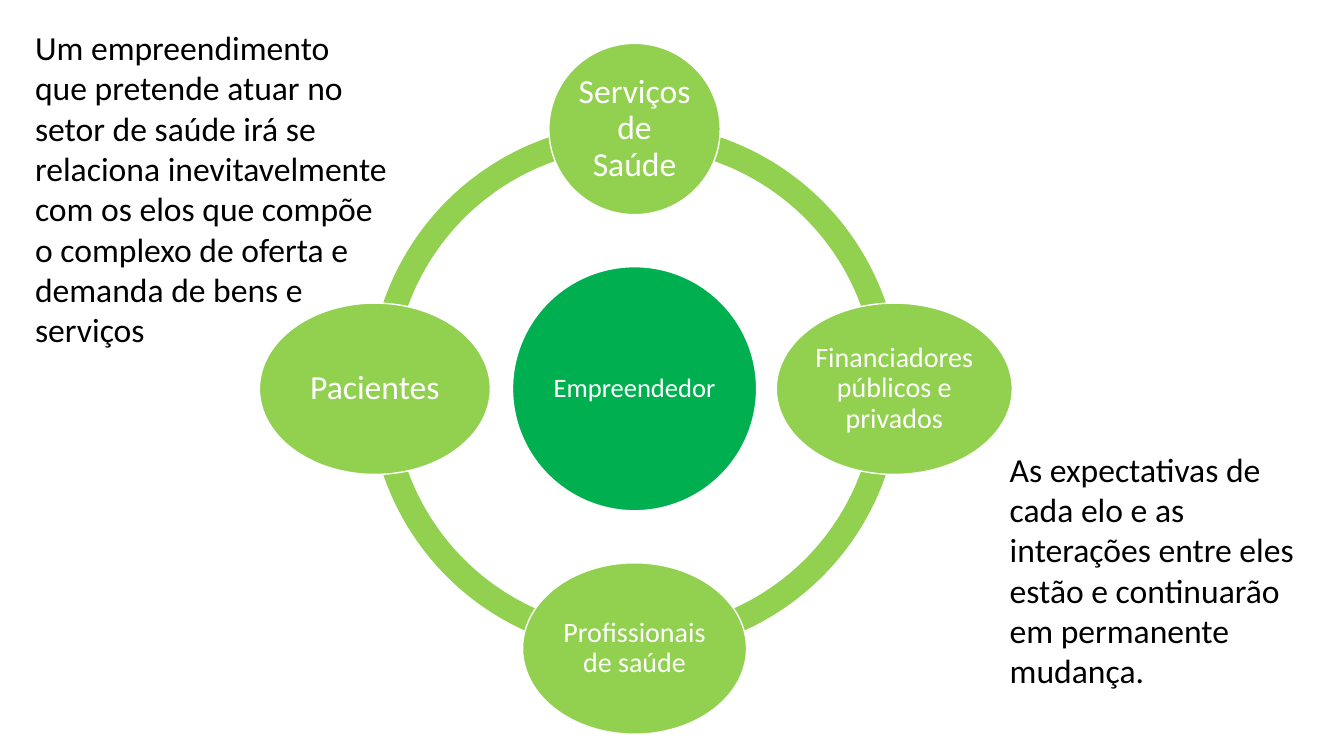
from math import cos, radians, sin

from pptx import Presentation
from pptx.dml.color import RGBColor
from pptx.enum.shapes import MSO_SHAPE
from pptx.enum.text import MSO_ANCHOR, PP_ALIGN
from pptx.util import Pt

COLORS = {"ring": "92D050", "center": "00B050", "light": "FFFFFF", "text": "000000"}
FONT = "Calibri"
NODE_HEIGHT = 122.4
QUARTER_TURN = 54
NODES = [
    ("Serviços de Saúde", 122.4, 24, -90),
    ("Financiadores públicos e privados", 168.6, 20, 0),
    ("Profissionais de saúde", 160, 20, 90),
    ("Pacientes", 165, 24, 180),
]
NOTES = [
    ("As expectativas de cada elo e as interações entre eles estão e "
     "continuarão em permanente mudança.", (714.2, 316.8, 224, 181.4)),
    ("Um empreendimento que pretende atuar no setor de saúde irá se relaciona "
     "inevitavelmente com os elos que compõe o complexo de oferta e demanda "
     "de bens e serviços", (18, 15.8, 266.4, 239.8)),
]


def color(name):
    return RGBColor.from_string(COLORS[name])


def add_text(para, text, size, color_name):
    span = para.add_run()
    span.text = text
    span.font.name = FONT
    span.font.size = Pt(size)
    span.font.color.rgb = color(color_name)


def add_filled_shape(page, kind, box, fill_name):
    shape = page.shapes.add_shape(kind, *map(Pt, box))
    shape.shadow.inherit = False
    shape.fill.solid()
    shape.fill.fore_color.rgb = color(fill_name)
    shape.line.fill.background()
    return shape


def add_circle(page, center_x, center_y, width, height, text, size, fill_name):
    box = (center_x - width / 2, center_y - height / 2, width, height)
    circle = add_filled_shape(page, MSO_SHAPE.OVAL, box, fill_name)
    circle.line.color.rgb = color("light")
    circle.line.width = Pt(1)
    frame = circle.text_frame
    frame.word_wrap = True
    frame.vertical_anchor = MSO_ANCHOR.MIDDLE
    frame.margin_left = frame.margin_right = Pt(2)
    frame.margin_top = frame.margin_bottom = Pt(2)
    para = frame.paragraphs[0]
    para.alignment = PP_ALIGN.CENTER
    para.line_spacing = 0.9
    add_text(para, text, size, "light")


def add_cycle(page, box):
    left, top, width, height = box
    center_x, center_y = left + width / 2, top + height / 2
    orbit = width * 0.489
    for quarter in (2, 1, 0, 3):
        arc = add_filled_shape(page, MSO_SHAPE.BLOCK_ARC, box, "ring")
        arc.adjustments[0] = quarter * QUARTER_TURN
        arc.adjustments[1] = (quarter + 1) % 4 * QUARTER_TURN
        arc.adjustments[2] = 0.046
    add_circle(page, center_x, center_y, 174.4, 174.4, "Empreendedor", 19, "center")
    for text, node_width, size, degrees in NODES:
        angle = radians(degrees)
        add_circle(page, center_x + orbit * cos(angle), center_y + orbit * sin(angle),
                   node_width, NODE_HEIGHT, text, size, "ring")


def add_note(page, text, box):
    frame = page.shapes.add_textbox(*map(Pt, box)).text_frame
    frame.word_wrap = True
    add_text(frame.paragraphs[0], text, 24, "text")


def main():
    deck = Presentation()
    deck.slide_width, deck.slide_height = Pt(960), Pt(540)
    page = deck.slides.add_slide(deck.slide_layouts[6])
    add_cycle(page, (263.6, 88, 379.4, 379.4))
    for text, box in NOTES:
        add_note(page, text, box)
    deck.save("out.pptx")


if __name__ == "__main__":
    main()
